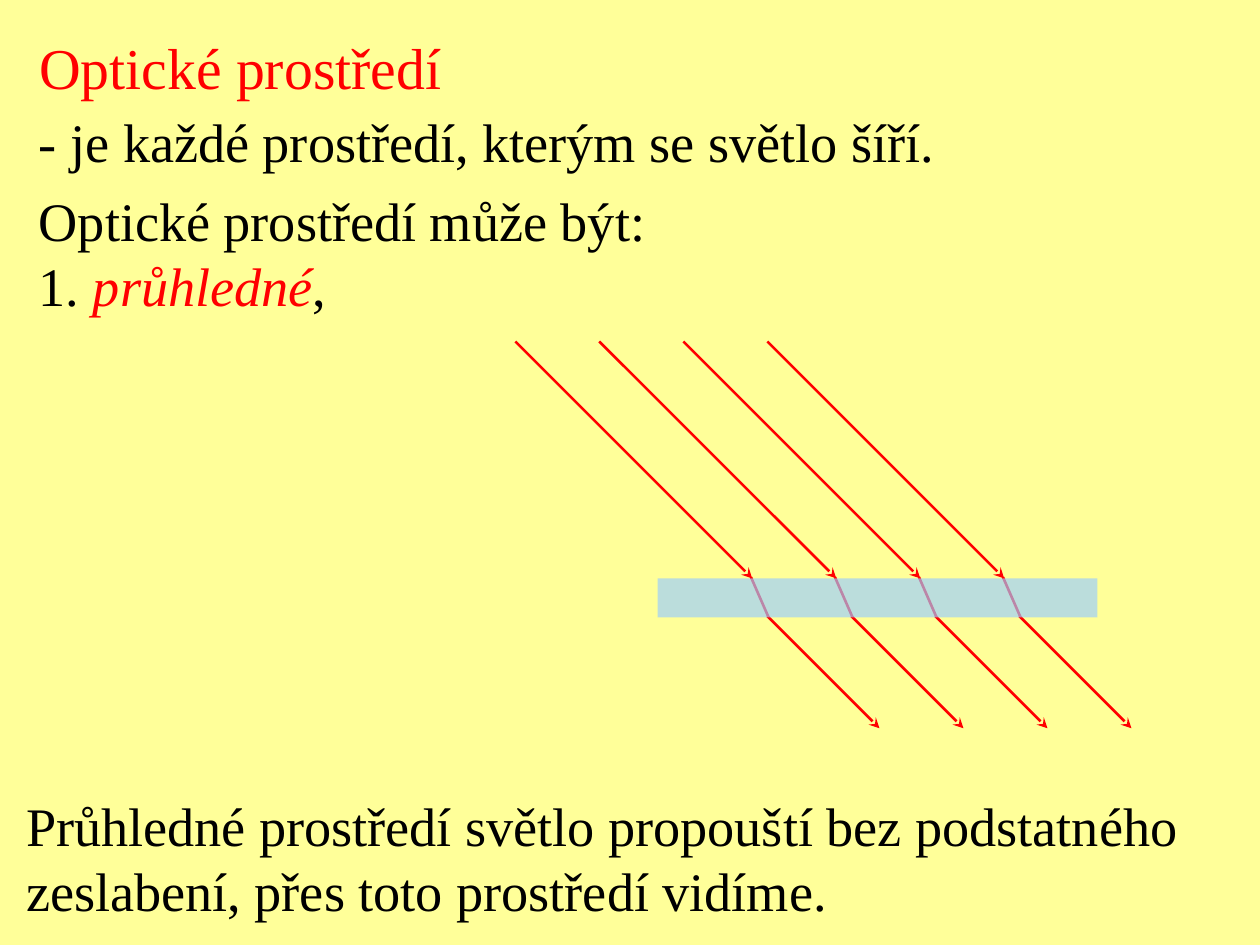
"""Builds the slide on transparent optical media with its ray diagram."""
from dataclasses import dataclass

from lxml import etree
from pptx import Presentation
from pptx.dml.color import RGBColor
from pptx.enum.shapes import MSO_CONNECTOR, MSO_SHAPE
from pptx.enum.text import MSO_ANCHOR, MSO_AUTO_SIZE, PP_ALIGN
from pptx.oxml.ns import qn
from pptx.util import Inches, Pt

STRAIGHT = MSO_CONNECTOR.STRAIGHT
RECTANGLE = MSO_SHAPE.RECTANGLE
TOP, LEFT, NO_FIT = MSO_ANCHOR.TOP, PP_ALIGN.LEFT, MSO_AUTO_SIZE.NONE
TITLE_ONLY = 5
WIDTH, HEIGHT = 10, 7.5
RAYS = 4
RAY_GAP = WIDTH / 15


@dataclass(frozen=True)
class Theme:
    """Colours, font and sizes of the slide."""
    background: str = "FFFF99"
    accent: str = "FF0000"
    text: str = "000000"
    glass: str = "99CCFF"
    glass_alpha: int = 66000
    font: str = "Times New Roman"
    title_size: float = 33
    body_size: float = 31
    ray_width: float = 1.5


THEME = Theme()


def rgb(value):
    """Turn a hex string into a colour."""
    return RGBColor.from_string(value)


def add_run(p, text, size=THEME.body_size, color=THEME.text, italic=False):
    """Append formatted text to a paragraph."""
    r = p.add_run()
    r.text = text
    r.font.name = THEME.font
    r.font.size = Pt(size)
    r.font.color.rgb = rgb(color)
    r.font.italic = italic


def set_frame(tf):
    """Give a text frame top anchoring and fixed size."""
    tf.word_wrap = False
    tf.auto_size = NO_FIT
    tf.vertical_anchor = TOP


def add_title(s, text, x, y, w, h):
    """Move and format the title placeholder."""
    sp = s.shapes.title
    sp.left, sp.top, sp.width, sp.height = map(Inches, (x, y, w, h))
    set_frame(sp.text_frame)
    p = sp.text_frame.paragraphs[0]
    p.alignment = LEFT
    add_run(p, text, size=THEME.title_size, color=THEME.accent)


def add_text(s, lines, x, y, w, h):
    """Add a text box from (space after, runs) lines."""
    tf = s.shapes.add_textbox(*map(Inches, (x, y, w, h))).text_frame
    set_frame(tf)
    for i, (space_after, runs) in enumerate(lines):
        p = tf.add_paragraph() if i else tf.paragraphs[0]
        p.space_after = Pt(space_after)
        for text, style in runs:
            add_run(p, text, **style)


def add_rays(s, x, y, dx, dy, arrow=False):
    """Add a row of evenly spaced parallel rays."""
    for i in range(RAYS):
        left = x + i * RAY_GAP
        ends = map(Inches, (left, y, left + dx, y + dy))
        sp = s.shapes.add_connector(STRAIGHT, *ends)
        sp.line.color.rgb = rgb(THEME.accent)
        sp.line.width = Pt(THEME.ray_width)
        if arrow:
            ln = sp.line._get_or_add_ln()
            etree.SubElement(ln, qn("a:tailEnd"), type="stealth")
        etree.SubElement(sp._element.spPr, qn("a:effectLst"))


def add_glass(s, x, y, w, h):
    """Add the translucent plate."""
    sp = s.shapes.add_shape(RECTANGLE, *map(Inches, (x, y, w, h)))
    sp.shadow.inherit = False
    sp.line.fill.background()
    sp.fill.solid()
    sp.fill.fore_color.rgb = rgb(THEME.glass)
    color = sp._element.spPr.find(qn("a:solidFill"))[0]
    etree.SubElement(color, qn("a:alpha"), val=str(THEME.glass_alpha))


def main():
    """Build and save the slide."""
    prs = Presentation()
    prs.slide_width, prs.slide_height = Inches(WIDTH), Inches(HEIGHT)
    s = prs.slides.add_slide(prs.slide_layouts[TITLE_ONLY])
    s.background.fill.solid()
    s.background.fill.fore_color.rgb = rgb(THEME.background)

    add_title(s, "Optické prostředí", 0.21, 0.2, 7.3, 0.61)
    add_text(s, [
        (7.7, [("- je každé prostředí, kterým se světlo šíří.", {})]),
        (0, [("Optické prostředí může být:", {})]),
        (0, [("1. ", {}),
             ("průhledné", {"color": THEME.accent, "italic": True}),
             (",", {})]),
    ], 0.21, 0.81, 7.3, 1.79)
    add_text(s, [
        (0, [("Průhledné prostředí světlo propouští bez podstatného", {})]),
        (0, [("zeslabení, přes toto prostředí vidíme.", {})]),
    ], 0.11, 6.24, 9.33, 1.14)

    add_rays(s, 4.09, 2.71, 1.88, 1.88, arrow=True)
    add_rays(s, 5.96, 4.58, 0.14, 0.32)
    add_rays(s, 6.09, 4.89, 0.89, 0.89, arrow=True)
    add_glass(s, 5.22, 4.59, 3.49, 0.31)
    prs.save("out.pptx")


if __name__ == "__main__":
    main()
